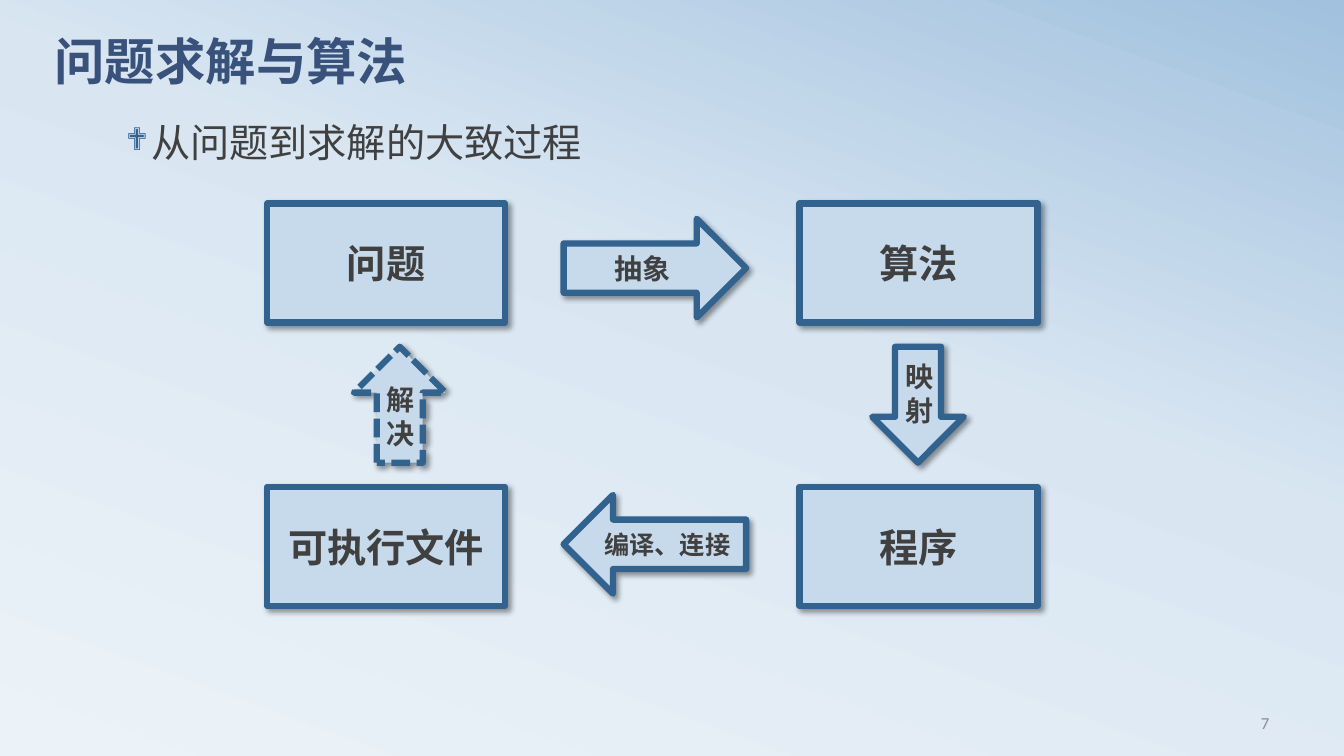
"""Build the slide on the way from a problem to its solution."""
from lxml.etree import SubElement
from pptx import Presentation
from pptx.dml.color import RGBColor
from pptx.enum.dml import MSO_LINE
from pptx.enum.shapes import MSO_SHAPE
from pptx.enum.text import MSO_ANCHOR, MSO_AUTO_SIZE, PP_ALIGN
from pptx.oxml.ns import qn
from pptx.util import Inches, Pt

COLORS = {"title": "39527B", "text": "404040", "fill": "C7DAEB",
          "line": "32628E", "number": "8C8C8C", "shadow": "000000"}
GRADIENT = [(0, "ECF3F8"), (58, "D9E6F2"), (100, "A1C1DE")]
GRADIENT_ANGLE = 290
CJK_FONT = "Noto Sans CJK SC"
LATIN_FONT = "Calibri"

TITLE = "问题求解与算法"
BULLET = "从问题到求解的大致过程"
SLIDE_NUMBER = "7"
STAGES = [("问题", 0, 0), ("算法", 1, 0), ("程序", 1, 1), ("可执行文件", 0, 1)]
ACROSS = [("抽象", MSO_SHAPE.RIGHT_ARROW, 2.17, 20),
          ("编译、连接", MSO_SHAPE.LEFT_ARROW, 4.91, 18)]
UPRIGHT = [("映射", 8.53, 90, "vert270", None),
           ("解决", 3.39, 270, "vert", MSO_LINE.SQUARE_DOT)]

GRID_LEFT, GRID_TOP = 2.65, 2.02
COLUMN_STEP, ROW_STEP = 5.28, 2.81
BOX_SIZE = (2.36, 1.18)
ACROSS_LEFT, ACROSS_SIZE = 5.59, (1.81, 0.98)
UPRIGHT_TOP, UPRIGHT_SIZE = 3.56, (1.15, 0.91)


def rgb(name):
    return RGBColor.from_string(COLORS[name])


def write(shape, text, size, color="text", font=CJK_FONT, bold=False,
          align=PP_ALIGN.CENTER, anchor=MSO_ANCHOR.MIDDLE, spacing=1.0):
    frame = shape.text_frame
    frame.word_wrap = True
    frame.auto_size = MSO_AUTO_SIZE.NONE
    frame.vertical_anchor = anchor
    paragraph = frame.paragraphs[0]
    paragraph.alignment = align
    paragraph.line_spacing = spacing
    paragraph.space_before = Pt(0)
    run = paragraph.add_run()
    run.text = text
    run.font.size = Pt(size)
    run.font.bold = bold
    run.font.color.rgb = rgb(color)
    run.font.name = font
    SubElement(run.font._element, qn("a:ea"), typeface=CJK_FONT)
    return paragraph


def place(shape, left, top, width, height):
    shape.left, shape.top = Inches(left), Inches(top)
    shape.width, shape.height = Inches(width), Inches(height)


def add_shadow(shape):
    shape.shadow.inherit = False
    effects = shape._element.spPr.find(qn("a:effectLst"))
    shadow = SubElement(effects, qn("a:outerShdw"), blurRad=str(Pt(4)),
                        dist=str(Pt(3)), dir=str(45 * 60000),
                        algn="tl", rotWithShape="0")
    color = SubElement(shadow, qn("a:srgbClr"), val=COLORS["shadow"])
    SubElement(color, qn("a:alpha"), val="40000")


def add_block(slide, kind, text, left, top, dimensions, size):
    shape = slide.shapes.add_shape(
        kind, *(Inches(value) for value in (left, top, *dimensions)))
    shape.fill.solid()
    shape.fill.fore_color.rgb = rgb("fill")
    shape.line.color.rgb = rgb("line")
    shape.line.width = Pt(4.5)
    add_shadow(shape)
    write(shape, text, size, bold=True)
    return shape


def paint_background(slide):
    slide.background.fill.gradient()
    gradient = next(slide.element.iter(qn("a:gradFill")))
    for child in list(gradient):
        gradient.remove(child)
    stops = SubElement(gradient, qn("a:gsLst"))
    for position, color in GRADIENT:
        stop = SubElement(stops, qn("a:gs"), pos=str(position * 1000))
        SubElement(stop, qn("a:srgbClr"), val=color)
    SubElement(gradient, qn("a:lin"), ang=str(GRADIENT_ANGLE * 60000), scaled="0")


def add_bullet(paragraph):
    properties = paragraph._p.get_or_add_pPr()
    properties.set("marL", str(Inches(0.25)))
    properties.set("indent", str(Inches(-0.25)))
    color = SubElement(properties, qn("a:buClr"))
    SubElement(color, qn("a:srgbClr"), val=COLORS["line"])
    SubElement(properties, qn("a:buSzPct"), val="80000")
    SubElement(properties, qn("a:buFont"), typeface="Wingdings")
    SubElement(properties, qn("a:buChar"), char="❖")


def main():
    presentation = Presentation()
    presentation.slide_width = Inches(13.33)
    presentation.slide_height = Inches(7.5)
    slide = presentation.slides.add_slide(presentation.slide_layouts[1])
    paint_background(slide)

    title, body = slide.placeholders
    place(title, 0.44, 0.36, 12, 0.94)
    write(title, TITLE, 36, color="title", font=LATIN_FONT, bold=True,
          align=PP_ALIGN.LEFT, anchor=MSO_ANCHOR.TOP, spacing=0.8)
    place(body, 1.15, 1.18, 8.98, 0.68)
    add_bullet(write(body, BULLET, 28, align=PP_ALIGN.LEFT,
                     anchor=MSO_ANCHOR.TOP, spacing=0.9))

    for text, column, row in STAGES:
        add_block(slide, MSO_SHAPE.RECTANGLE, text,
                  GRID_LEFT + column * COLUMN_STEP,
                  GRID_TOP + row * ROW_STEP, BOX_SIZE, 28)
    for text, kind, top, size in ACROSS:
        add_block(slide, kind, text, ACROSS_LEFT, top, ACROSS_SIZE, size)
    for text, left, rotation, direction, dash in UPRIGHT:
        arrow = add_block(slide, MSO_SHAPE.RIGHT_ARROW, text, left,
                          UPRIGHT_TOP, UPRIGHT_SIZE, 20)
        arrow.rotation = rotation
        arrow.text_frame._txBody.bodyPr.set("vert", direction)
        if dash:
            arrow.line.dash_style = dash

    number = slide.shapes.add_textbox(
        Inches(9.58), Inches(6.97), Inches(3.11), Inches(0.4))
    write(number, SLIDE_NUMBER, 12, color="number", font=LATIN_FONT,
          align=PP_ALIGN.RIGHT)
    presentation.save("out.pptx")


if __name__ == "__main__":
    main()
